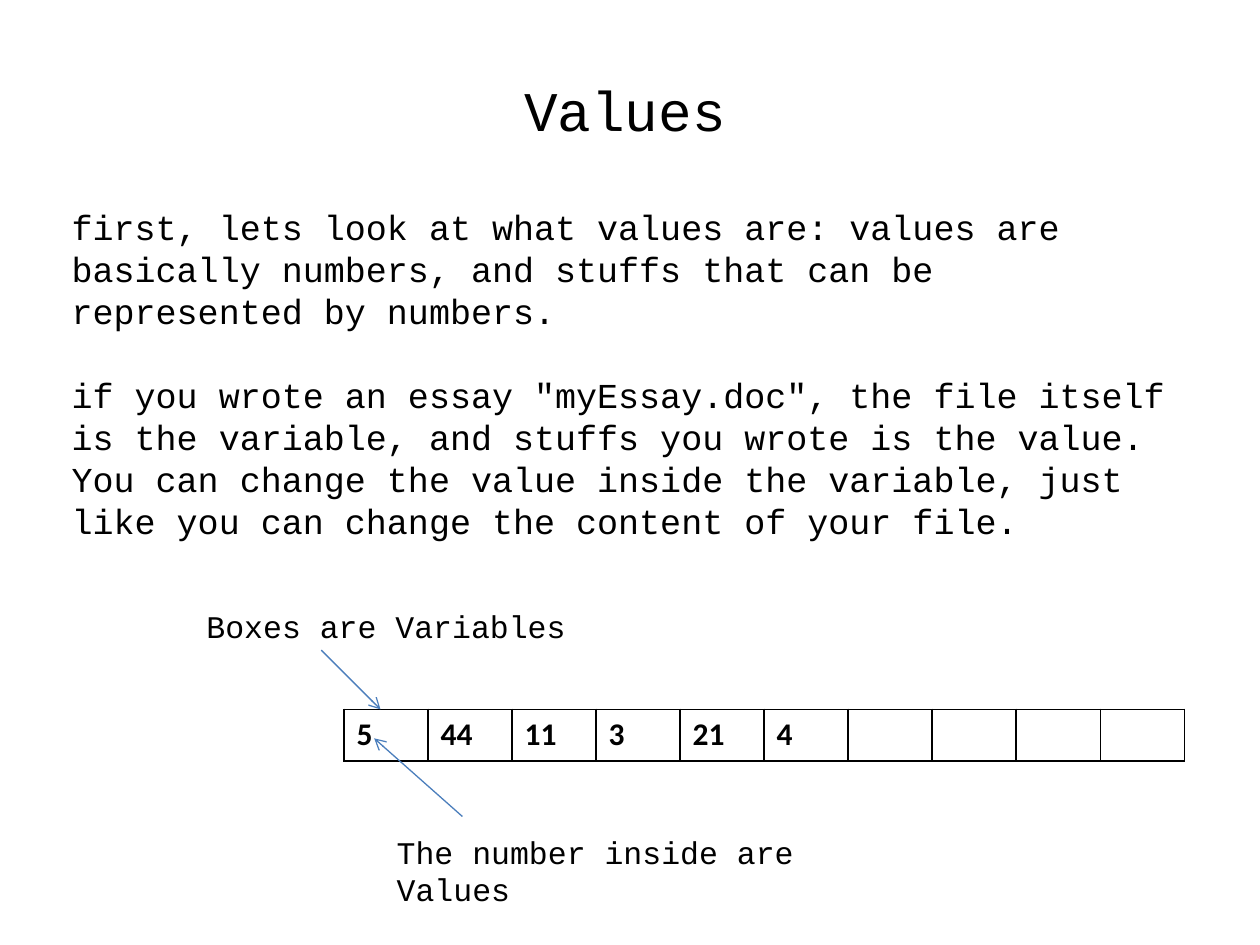
from lxml.etree import SubElement
from pptx import Presentation
from pptx.dml.color import RGBColor
from pptx.enum.shapes import MSO_CONNECTOR
from pptx.enum.text import PP_ALIGN
from pptx.oxml.ns import qn
from pptx.util import Inches, Pt

BLACK, WHITE, BLUE = "000000", "FFFFFF", "4B7EBC"
VALUES = ["5", "44", "11", "3", "21", "4", "", "", "", ""]
EXPLANATION = [
    "first, lets look at what values are: values are basically numbers, "
    "and stuffs that can be represented by numbers.",
    "if you wrote an essay \"myEssay.doc\", the file itself is the variable, "
    "and stuffs you wrote is the value. You can change the value inside the "
    "variable, just like you can change the content of your file.",
]


def color(value):
    return RGBColor.from_string(value)


def set_attributes(target, values):
    for name, value in values.items():
        setattr(target, name, value)


def style_font(font, size, name, bold=False):
    set_attributes(font, {"size": Pt(size), "name": name, "bold": bold})
    font.color.rgb = color(BLACK)


def add_text(page, position, paragraphs, size, align=PP_ALIGN.LEFT, gap=0):
    box = page.shapes.add_textbox(*map(Inches, position))
    frame = box.text_frame
    frame.word_wrap = True
    for index, text in enumerate(paragraphs):
        para = frame.add_paragraph() if index else frame.paragraphs[0]
        set_attributes(para, {"alignment": align,
                              "space_before": Pt(gap if index else 0)})
        span = para.add_run()
        span.text = text
        style_font(span.font, size, "Courier New")


def add_arrow(page, start, end):
    arrow = page.shapes.add_connector(
        MSO_CONNECTOR.STRAIGHT, *map(Inches, start + end))
    arrow.line.width = Pt(0.75)
    arrow.line.color.rgb = color(BLUE)
    SubElement(arrow.line._get_or_add_ln(), qn("a:tailEnd"), type="arrow")
    SubElement(arrow._element.spPr, qn("a:effectLst"))


def add_borders(cell):
    properties = cell._tc.get_or_add_tcPr()
    for index, side in enumerate(("lnL", "lnR", "lnT", "lnB")):
        border = SubElement(properties, qn("a:" + side), w=str(Pt(1)))
        fill = SubElement(border, qn("a:solidFill"))
        SubElement(fill, qn("a:srgbClr"), val=BLACK)
        properties.insert(index, border)  # borders come before the fill


def add_value_table(page, position, values):
    table = page.shapes.add_table(
        1, len(values), *map(Inches, position)).table
    set_attributes(table, {"first_row": False, "horz_banding": False})
    for cell, value in zip(table.iter_cells(), values):
        cell.fill.solid()
        cell.fill.fore_color.rgb = color(WHITE)
        add_borders(cell)
        para = cell.text_frame.paragraphs[0]
        if value:
            span = para.add_run()
            span.text = value
            style_font(span.font, 18, "Calibri", bold=True)


def main():
    deck = Presentation()
    set_attributes(deck, {"slide_width": Inches(10),
                          "slide_height": Inches(7.5)})
    page = deck.slides.add_slide(deck.slide_layouts[6])

    # Title and explanation
    add_text(page, (0.47, 0.55, 8.98, 0.64), ["Values"], 32, PP_ALIGN.CENTER)
    add_text(page, (0.47, 1.58, 8.98, 2.46), EXPLANATION, 20, gap=24)

    # Row of variables with their values
    add_value_table(page, (2.73, 5.63, 6.67, 0.41), VALUES)

    # Labels and arrows
    add_arrow(page, (2.55, 5.16), (3.02, 5.63))
    add_text(page, (1.54, 4.77, 4.06, 0.4), ["Boxes are Variables"], 18)
    add_arrow(page, (3.67, 6.48), (2.97, 5.86))
    add_text(page, (3.05, 6.56, 4.06, 0.4),
             ["The number inside are Values"], 18)

    deck.save("out.pptx")


main()
